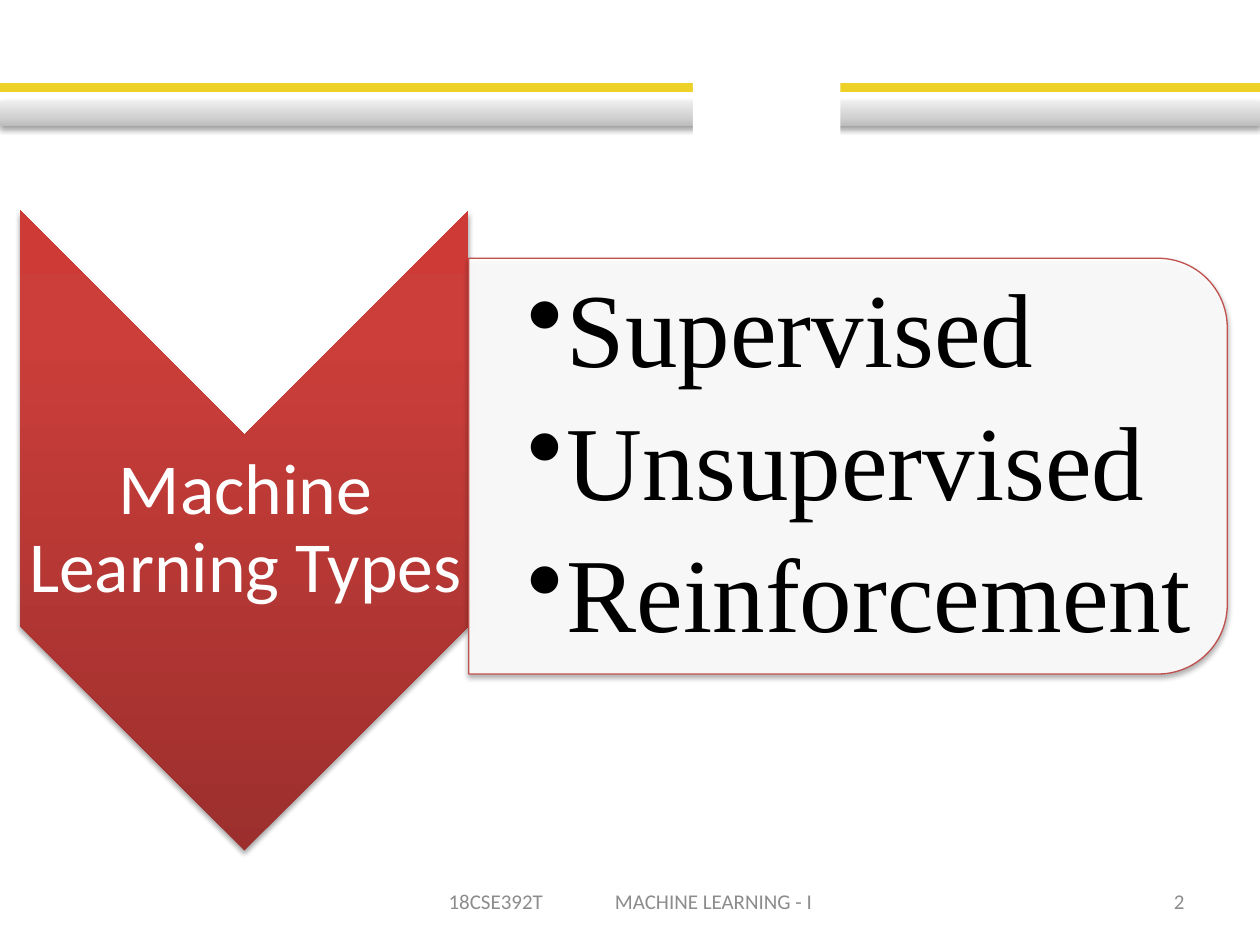
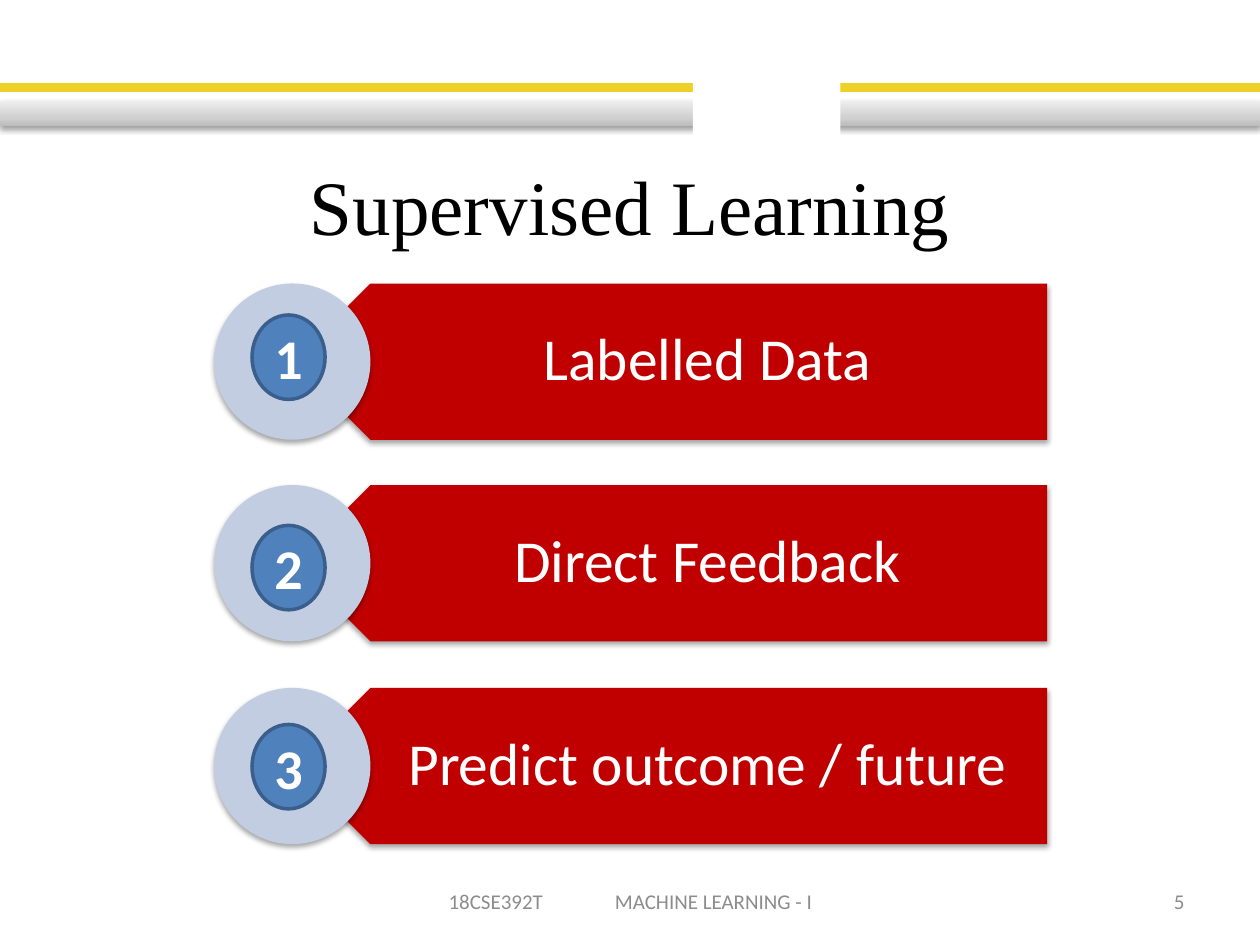
from dataclasses import dataclass

from lxml import etree
from pptx import Presentation
from pptx import util as u
from pptx.dml.color import RGBColor
from pptx.enum import shapes, text
from pptx.oxml import ns

PX = 9144  # EMU in one px: 100 px make an inch
SANS, SERIF = "Calibri", "Times New Roman"
WHITE, BLACK, GREY = "FFFFFF", "000000", "8C8C8C"
YELLOW, RED, BORDER_RED = "EED126", "C00000", "C0504D"
PALE_BLUE, BLUE, DARK_BLUE = "C2CDE1", "4F81BD", "3A5F8C"
BAND_STOPS = ((0, "BDBDBD"), (35, "D1D1D1"), (100, "EEEEEE"))
ARROW_STOPS = ((0, "9C2F2D"), (80, "CB3E3A"), (100, "CE3B37"))
SHAPE = shapes.MSO_SHAPE
ALIGN = text.PP_ALIGN


@dataclass(frozen=True)
class Box:
    left: int
    top: int
    width: int
    height: int

    def emu(self) -> tuple[int, ...]:
        return tuple(n * PX for n in (self.left, self.top, self.width, self.height))


@dataclass(frozen=True)
class Style:
    size: int
    color: str
    font: str = SANS
    align: ALIGN = ALIGN.CENTER
    bold: bool = False
    line_spacing: float = 1.0
    space_after: int = 0
    bullet_indent: int = 0
    tab_stop: int = 0


@dataclass(frozen=True)
class Step:
    number: str
    label: str
    badge_top: int


TITLE = Style(44, BLACK, SERIF)
COURSE = Style(12, GREY, align=ALIGN.LEFT, tab_stop=132)
PAGE_NUMBER = Style(12, GREY, align=ALIGN.RIGHT)
ARROW_LABEL = Style(41, WHITE, line_spacing=0.9)
TYPE_LIST = Style(60, BLACK, SERIF, ALIGN.LEFT, line_spacing=0.9,
                  space_after=11, bullet_indent=31)
STEP_LABEL = Style(34, WHITE, line_spacing=0.9)
BADGE = Style(32, WHITE, bold=True)

DEFAULT_INSETS = (10, 5, 10, 5)
LEARNING_TYPES = ("Supervised", "Unsupervised", "Reinforcement")
STEPS = (
    Step("1", "Labelled Data", 250),
    Step("2", "Direct Feedback", 417),
    Step("3", "Predict outcome / future", 575),
)


def rgb(color: str) -> RGBColor:
    return RGBColor.from_string(color)


def add_child(parent, tag: str, **attributes):
    return etree.SubElement(parent, ns.qn(f"a:{tag}"),
                            {key: str(value) for key, value in attributes.items()})


def add_shadow(shape, opacity: int, distance: float) -> None:
    effects = shape._element.spPr.find(ns.qn("a:effectLst"))
    shadow = add_child(effects, "outerShdw", blurRad=u.Pt(3.1), dist=u.Pt(distance),
                       dir=90 * 60000, rotWithShape=0)
    color = add_child(shadow, "srgbClr", val=BLACK)
    add_child(color, "alpha", val=opacity * 1000)


def fill_gradient(shape, stops) -> None:
    """Fill from bottom to top, whatever the rotation of the shape."""
    shape.fill.gradient()
    gradient = shape._element.spPr.find(ns.qn("a:gradFill"))
    gradient.set("rotWithShape", "0")
    for child in list(gradient):
        gradient.remove(child)
    stop_list = add_child(gradient, "gsLst")
    for position, color in stops:
        stop = add_child(stop_list, "gs", pos=position * 1000)
        add_child(stop, "srgbClr", val=color)
    add_child(gradient, "lin", ang=270 * 60000, scaled=0)


def add_figure(slide, kind, box: Box, fill: str | tuple, line: str = "",
               line_width: float = 2, rotation: int = 0):
    shape = slide.shapes.add_shape(kind, *box.emu())
    shape.shadow.inherit = False
    shape.rotation = rotation
    if isinstance(fill, tuple):
        fill_gradient(shape, fill)
    else:
        shape.fill.solid()
        shape.fill.fore_color.rgb = rgb(fill)
    if line:
        shape.line.color.rgb = rgb(line)
        shape.line.width = u.Pt(line_width)
    else:
        shape.line.fill.background()
    return shape


def write(shape, lines: tuple[str, ...], style: Style, insets=DEFAULT_INSETS) -> None:
    frame = shape.text_frame
    frame.word_wrap = True
    frame.vertical_anchor = text.MSO_ANCHOR.MIDDLE
    (frame.margin_left, frame.margin_top,
     frame.margin_right, frame.margin_bottom) = (n * PX for n in insets)
    frame.text = "\n".join(lines)
    for paragraph in frame.paragraphs:
        paragraph.alignment = style.align
        paragraph.line_spacing = style.line_spacing
        paragraph.space_after = u.Pt(style.space_after)
        properties = paragraph._p.get_or_add_pPr()
        if style.bullet_indent:
            indent = style.bullet_indent * PX
            properties.set("marL", str(indent))
            properties.set("indent", str(-indent))
            add_child(properties, "buChar", char="•")
        if style.tab_stop:
            tabs = add_child(properties, "tabLst")
            add_child(tabs, "tab", pos=style.tab_stop * PX, algn="l")
        font = paragraph.font
        font.name, font.size, font.bold = style.font, u.Pt(style.size), style.bold
        font.color.rgb = rgb(style.color)


def add_text(slide, box: Box, lines: tuple[str, ...], style: Style,
             insets=DEFAULT_INSETS) -> None:
    write(slide.shapes.add_textbox(*box.emu()), lines, style, insets)


def add_base_slide(presentation, page: int):
    """Add a slide with the header bands and the footer."""
    slide = presentation.slides.add_slide(presentation.slide_layouts[6])
    add_figure(slide, SHAPE.RECTANGLE, Box(0, 67, 1000, 5), YELLOW, YELLOW)
    band = add_figure(slide, SHAPE.RECTANGLE, Box(0, 80, 1000, 20), BAND_STOPS)
    add_shadow(band, 38, 1.6)
    add_figure(slide, SHAPE.ROUNDED_RECTANGLE, Box(550, 50, 117, 67), WHITE)
    add_text(slide, Box(342, 695, 317, 40), ("18CSE392T\tMACHINE LEARNING - I",),
             COURSE, (14, 5, 0, 5))
    add_text(slide, Box(717, 695, 233, 40), (str(page),), PAGE_NUMBER)
    return slide


def build_types_slide(presentation) -> None:
    slide = add_base_slide(presentation, 2)
    arrow = add_figure(slide, SHAPE.CHEVRON, Box(-60, 243, 508, 356),
                       ARROW_STOPS, rotation=90)
    add_shadow(arrow, 35, 1.8)
    add_text(slide, Box(17, 345, 356, 152), ("Machine Learning Types",),
             ARROW_LABEL, (3, 3, 3, 3))
    panel = add_figure(slide, SHAPE.ROUND_2_SAME_RECTANGLE, Box(508, 69, 330, 602),
                       WHITE, BORDER_RED, 0.75, rotation=90)
    color = panel._element.spPr.find(ns.qn("a:solidFill"))[0]
    add_child(color, "alpha", val=90000)
    add_shadow(panel, 35, 1.8)
    add_text(slide, Box(372, 221, 586, 298), LEARNING_TYPES, TYPE_LIST, (47, 4, 4, 4))


def build_supervised_slide(presentation) -> None:
    slide = add_base_slide(presentation, 5)
    add_text(slide, Box(50, 100, 900, 125), ("Supervised Learning",), TITLE)
    for index, step in enumerate(STEPS):
        top = 225 + 321 * index // 2
        bar = add_figure(slide, SHAPE.PENTAGON, Box(232, top, 599, 124), RED, rotation=180)
        add_shadow(bar, 35, 1.8)
        add_text(slide, Box(263, top, 568, 124), (step.label,), STEP_LABEL,
                 (55, 14, 26, 14))
        disc = add_figure(slide, SHAPE.OVAL, Box(170, top, 124, 124), PALE_BLUE)
        add_shadow(disc, 35, 1.8)
        badge = add_figure(slide, SHAPE.OVAL, Box(200, step.badge_top, 58, 67),
                           BLUE, DARK_BLUE)
        write(badge, (step.number,), BADGE, (0, 5, 0, 5))


def main() -> None:
    presentation = Presentation()
    presentation.slide_width, presentation.slide_height = 1000 * PX, 750 * PX
    build_types_slide(presentation)
    build_supervised_slide(presentation)
    presentation.save("out.pptx")


if __name__ == "__main__":
    main()
